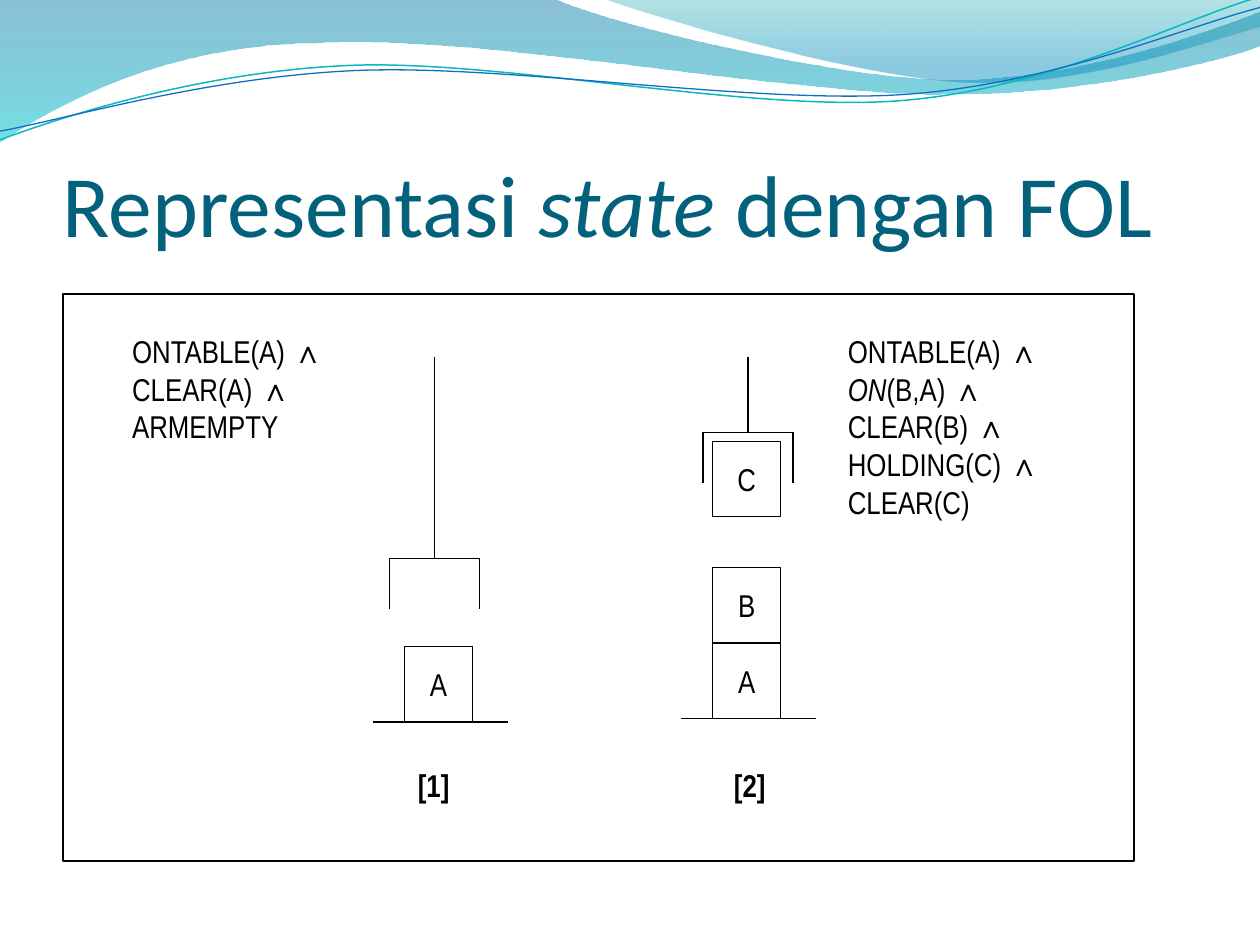
"""Build a slide that shows two block-world states with their FOL descriptions."""
from math import cos, radians, sin
from lxml.etree import SubElement
from pptx import Presentation
from pptx.dml.color import RGBColor
from pptx.enum.shapes import MSO_CONNECTOR, MSO_SHAPE
from pptx.enum.text import MSO_ANCHOR, PP_ALIGN
from pptx.oxml.ns import qn
from pptx.util import Pt

BLACK = RGBColor(0x00, 0x00, 0x00)
WHITE = RGBColor(0xFF, 0xFF, 0xFF)
TITLE_TEAL = RGBColor(0x04, 0x61, 0x7B)
DEEP_BLUE = RGBColor(0x00, 0x74, 0xA1)
AQUA = RGBColor(0x00, 0xC6, 0xCF)
SEA_GREEN = RGBColor(0x00, 0xA1, 0xA9)
SKY_BLUE = RGBColor(0x00, 0x8B, 0xBF)
CURVE_TEAL = RGBColor(0x0A, 0xB8, 0xBF)
CURVE_BLUE = RGBColor(0x0F, 0x6F, 0xC6)

TITLE = [[("Representasi ", False), ("state ", True), ("dengan FOL", False)]]
STATES = [
    {
        "facts": [
            [("ONTABLE(A) ∧", False)],
            [("ON", True), ("(B,A) ∧", False)],
            [("CLEAR(B) ∧", False)],
            [("HOLDING(C) ∧", False)],
            [("CLEAR(C)", False)],
        ],
        "facts_area": (477.4, 186.1, 154.8, 149),
        "arm": (427.5, 247),
        "ground": (427.7, 410.4),
        "blocks": [("C", 426.8, 252.2), ("B", 426.8, 324.2), ("A", 426.8, 367.4)],
        "label": "[2]",
        "label_left": 394.6,
        "label_indent": 3.4,
    },
    {
        "facts": [[("ONTABLE(A) ∧", False)], [("CLEAR(A) ∧", False)], [("ARMEMPTY", False)]],
        "facts_area": (68.4, 186.1, 154.8, 115.2),
        "arm": (248.4, 319),
        "ground": (251.7, 412.6),
        "blocks": [("A", 250.6, 369.4)],
        "label": "[1]",
        "label_left": 211.7,
        "label_indent": 8,
    },
]

BANDS = [
    {
        "pieces": [
            [(0, -0.7)],
            [(316.8, -0.7)],
            [(342.7, 12.2), (478.1, 45.4), (545.8, 45.4)],
            [(614.2, 45.4), (689.8, 18.7), (720, 6.5)],
            [(720.7, 25.9)],
            [(707.8, 31.7), (626.4, 54.7), (537.1, 54)],
            [(447.8, 54), (275, 20.2), (185, 24.5)],
            [(92.9, 25.2), (33.1, 59.8), (-0.7, 81.4)],
        ],
        "stops": [(0, DEEP_BLUE, 45), (1, AQUA, 55)],
    },
    {
        "pieces": [
            [(344.9, -0.7)],
            [(366.5, 7.9), (491, 44.6), (553.7, 46.8)],
            [(616.3, 49.7), (691.9, 23), (720, 15.1)],
            [(720, 0)],
        ],
        "stops": [(0, SEA_GREEN, 30), (0.8, SKY_BLUE, 45)],
    },
]
RIPPLES = [
    {
        "pieces": [
            [(0, 79.9)],
            [(34.6, 67), (113.8, 41), (199.4, 37.4)],
            [(284.4, 33.8), (427, 64.1), (513.4, 57.6)],
            [(599.8, 51.1), (675.4, 10.8), (718.6, -1.4)],
        ],
        "center": (359.3, 41.4),
        "color": CURVE_TEAL,
        "width": 0.85,
    },
    {
        "pieces": [
            [(0, 74.9)],
            [(33.8, 69.1), (118.1, 43.9), (203.8, 40.3)],
            [(290.2, 36.7), (429.8, 59.8), (516.2, 54)],
            [(601.9, 48.2), (677.5, 15.1), (720, 4.3)],
        ],
        "center": (359.6, 42.5),
        "color": CURVE_BLUE,
        "width": 0.75,
    },
]

TILT = 2.7
HAIRLINE = 0.75
ARM_TOP = 203.8
ARM_HALF, FINGER = 25.7, 28.8
GROUND_HALF = 38.7
BLOCK_WIDTH, BLOCK_HEIGHT = 38.9, 43.2
LABEL_TOP, LABEL_WIDTH, LABEL_HEIGHT = 434.2, 64.1, 57.6


def write(shape, paragraphs, face="Arial Narrow", size=18, color=BLACK, bold=False,
          align=PP_ALIGN.LEFT, anchor=MSO_ANCHOR.TOP, insets=(7.2, 3.6, 7.2, 3.6)):
    frame = shape.text_frame
    frame.word_wrap = True
    frame.vertical_anchor = anchor
    frame.margin_left, frame.margin_top, frame.margin_right, frame.margin_bottom = map(Pt, insets)
    for index, runs in enumerate(paragraphs):
        paragraph = frame.add_paragraph() if index else frame.paragraphs[0]
        paragraph.alignment = align
        for wording, italic in runs:
            run = paragraph.add_run()
            run.text = wording
            run.font.name, run.font.size = face, Pt(size)
            run.font.bold, run.font.italic = bold, italic
            run.font.color.rgb = color


def text_area(shapes, area, paragraphs, **style):
    write(shapes.add_textbox(*map(Pt, area)), paragraphs, **style)


def outline(shape, color=BLACK, width=HAIRLINE):
    shape.line.color.rgb = color
    shape.line.width = Pt(width)


def rectangle(shapes, *area):
    box = shapes.add_shape(MSO_SHAPE.RECTANGLE, *map(Pt, area))
    box.shadow.inherit = False
    outline(box)
    return box


def stroke(shapes, *ends):
    line = shapes.add_connector(MSO_CONNECTOR.STRAIGHT, *map(Pt, ends))
    outline(line)
    SubElement(line.element.spPr, qn("a:effectLst"))


def curved_outline(shapes, pieces, close):
    start, *corners = [(Pt(x), Pt(y)) for x, y in (piece[-1] for piece in pieces)]
    builder = shapes.build_freeform(*start)
    builder.add_line_segments(corners, close=close)
    wave = builder.convert_to_shape()
    wave.shadow.inherit = False
    segments = list(wave.element.iter(qn("a:lnTo")))
    for segment, piece in zip(segments, pieces[1:]):
        if len(piece) == 3:
            segment.tag = qn("a:cubicBezTo")
            for index, (x, y) in enumerate(piece[:2]):
                handle = SubElement(segment, qn("a:pt"))
                handle.set("x", str(Pt(x) - wave.left))
                handle.set("y", str(Pt(y) - wave.top))
                segment.insert(index, handle)
    return wave


def draw_band(shapes, pieces, stops):
    band = curved_outline(shapes, pieces, close=True)
    band.line.fill.background()
    band.fill.gradient()
    band.fill.gradient_angle = 270
    for stop, (position, color, _) in zip(band.fill.gradient_stops, stops):
        stop.position = position
        stop.color.rgb = color
    tints = band.element.spPr.find(qn("a:gradFill")).iter(qn("a:srgbClr"))
    for tint, (_, _, opacity) in zip(tints, stops):
        SubElement(tint, qn("a:alpha")).set("val", str(opacity * 1000))


def turn(point, center, degrees):
    dx, dy = point[0] - center[0], point[1] - center[1]
    cosine, sine = cos(radians(degrees)), sin(radians(degrees))
    return center[0] + dx * cosine - dy * sine, center[1] + dx * sine + dy * cosine


def draw_ripple(shapes, pieces, center, color, width):
    level = [[turn(point, center, TILT) for point in piece] for piece in pieces]
    ripple = curved_outline(shapes, level, close=False)
    ripple.rotation = 360 - TILT
    ripple.fill.background()
    outline(ripple, color, width)


def draw_state(shapes, facts, facts_area, arm, ground, blocks, label, label_left, label_indent):
    for name, center, top in blocks:
        block = rectangle(shapes, center - BLOCK_WIDTH / 2, top, BLOCK_WIDTH, BLOCK_HEIGHT)
        block.fill.solid()
        block.fill.fore_color.rgb = WHITE
        write(block, [[(name, False)]], align=PP_ALIGN.CENTER, anchor=MSO_ANCHOR.MIDDLE)
    ground_x, ground_y = ground
    stroke(shapes, ground_x - GROUND_HALF, ground_y, ground_x + GROUND_HALF, ground_y)
    arm_x, wrist = arm
    stroke(shapes, arm_x, ARM_TOP, arm_x, wrist)
    stroke(shapes, arm_x - ARM_HALF, wrist, arm_x + ARM_HALF, wrist)
    for finger_x in (arm_x + ARM_HALF, arm_x - ARM_HALF):
        stroke(shapes, finger_x, wrist, finger_x, wrist + FINGER)
    text_area(shapes, facts_area, facts)
    text_area(shapes, (label_left, LABEL_TOP, LABEL_WIDTH, LABEL_HEIGHT), [[(label, False)]],
              bold=True, align=PP_ALIGN.CENTER, insets=(7.2 + label_indent, 3.6, 7.2, 3.6))


def main():
    deck = Presentation()
    deck.slide_width, deck.slide_height = Pt(720), Pt(540)
    shapes = deck.slides.add_slide(deck.slide_layouts[6]).shapes
    for band in BANDS:
        draw_band(shapes, **band)
    ripples = shapes.add_group_shape().shapes
    for ripple in RIPPLES:
        draw_ripple(ripples, **ripple)
    text_area(shapes, (36, 55.8, 648, 90), TITLE, face="Calibri", size=50, color=TITLE_TEAL,
              anchor=MSO_ANCHOR.BOTTOM, insets=(0, 3.6, 0, 0))
    diagram = shapes.add_group_shape().shapes
    rectangle(diagram, 36, 168, 612, 324).fill.background()
    for state in STATES:
        draw_state(diagram, **state)
    deck.save("out.pptx")


if __name__ == "__main__":
    main()
